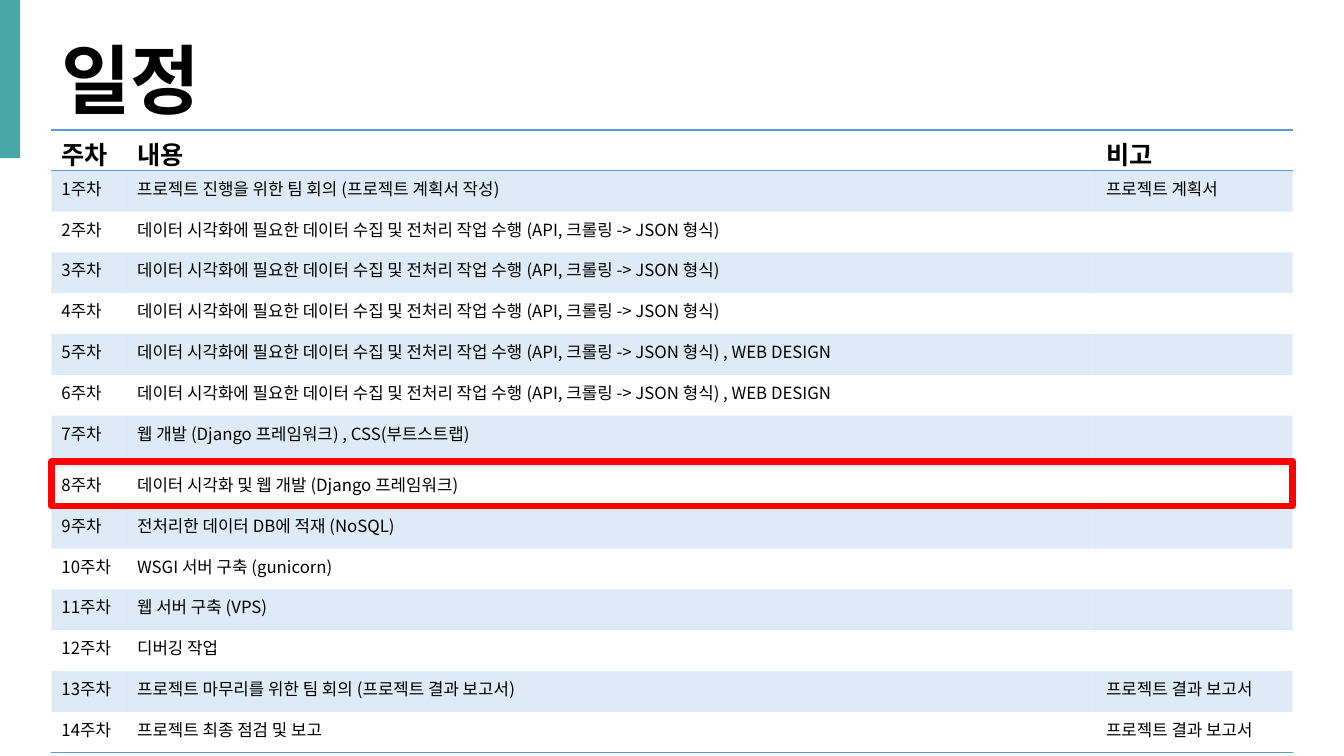
from lxml.etree import SubElement
from pptx import Presentation
from pptx.dml.color import RGBColor
from pptx.enum.shapes import MSO_SHAPE
from pptx.oxml.ns import qn
from pptx.util import Inches, Pt

FONT = "Noto Sans CJK KR"
BLACK = RGBColor(0x00, 0x00, 0x00)
TEAL = RGBColor(0x49, 0xA6, 0xA6)
BLUE = RGBColor(0x5B, 0x9B, 0xD5)
RED = RGBColor(0xFF, 0x00, 0x00)
NO_GRID_STYLE = "{2D5ABB26-0587-4C30-8999-92F81FD0307C}"

TABLE_LEFT, TABLE_TOP = 0.51, 1.29
COLUMN_WIDTHS = [0.75, 9.61, 1.95]
ROW_HEIGHT = 5.67 / 14
TALL_WEEK, TALL_HEIGHT = 7, 0.51

HEADERS = ["주차", "내용", "비고"]
COLLECT = "데이터 시각화에 필요한 데이터 수집 및 전처리 작업 수행 (API, 크롤링 -> JSON 형식)"
WEEKS = [
    ("프로젝트 진행을 위한 팀 회의 (프로젝트 계획서 작성)", "프로젝트 계획서"),
    (COLLECT, ""),
    (COLLECT, ""),
    (COLLECT, ""),
    (COLLECT + " , WEB DESIGN", ""),
    (COLLECT + " , WEB DESIGN", ""),
    ("웹 개발 (Django 프레임워크) , CSS(부트스트랩)", ""),
    ("데이터 시각화 및 웹 개발 (Django 프레임워크)", ""),
    ("전처리한 데이터 DB에 적재 (NoSQL)", ""),
    ("WSGI 서버 구축 (gunicorn)", ""),
    ("웹 서버 구축 (VPS)", ""),
    ("디버깅 작업", ""),
    ("프로젝트 마무리를 위한 팀 회의 (프로젝트 결과 보고서)", "프로젝트 결과 보고서"),
    ("프로젝트 최종 점검 및 보고", "프로젝트 결과 보고서"),
]


def write_text(text_frame, text, size=12, bold=False, color=BLACK):
    run = text_frame.paragraphs[0].add_run()
    run.text = text
    run.font.name = FONT
    run.font.size = Pt(size)
    run.font.bold = bold
    run.font.color.rgb = color
    SubElement(run.font._element, qn("a:ea"), typeface=FONT)


def add_rectangle(slide, left, top, width, height, fill=None, line=None, line_width=1):
    shape = slide.shapes.add_shape(
        MSO_SHAPE.RECTANGLE, Inches(left), Inches(top), Inches(width), Inches(height))
    shape.shadow.inherit = False
    if fill is None:
        shape.fill.background()
    else:
        shape.fill.solid()
        shape.fill.fore_color.rgb = fill
    if line is None:
        shape.line.fill.background()
    else:
        shape.line.color.rgb = line
        shape.line.width = Pt(line_width)


def add_title(slide, text):
    box = slide.shapes.add_textbox(Inches(0.51), Inches(0.28), Inches(1.72), Inches(1.01))
    box.text_frame.word_wrap = False
    write_text(box.text_frame, text, size=54, bold=True)


def add_border(cell, side):
    """Draw a blue line on one side of the cell: "T" or "B"."""
    line = SubElement(cell._tc.get_or_add_tcPr(), qn("a:ln" + side), w=str(Pt(1)))
    fill = SubElement(line, qn("a:solidFill"))
    SubElement(fill, qn("a:srgbClr"), val=str(BLUE))


def fill_band(cell):
    """Fill the cell with blue at 20 % opacity."""
    cell.fill.solid()
    cell.fill.fore_color.rgb = BLUE
    color = cell._tc.tcPr.find(qn("a:solidFill")).find(qn("a:srgbClr"))
    SubElement(color, qn("a:alpha"), val="20000")


def add_schedule(slide):
    rows = [HEADERS] + [(f"{week}주차", *entry) for week, entry in enumerate(WEEKS, 1)]
    heights = [TALL_HEIGHT if row == TALL_WEEK else ROW_HEIGHT for row in range(len(rows))]
    table = slide.shapes.add_table(
        len(rows), len(HEADERS), Inches(TABLE_LEFT), Inches(TABLE_TOP),
        Inches(sum(COLUMN_WIDTHS)), Inches(sum(heights))).table
    table._tbl.tblPr.find(qn("a:tableStyleId")).text = NO_GRID_STYLE
    for column, width in zip(table.columns, COLUMN_WIDTHS):
        column.width = Inches(width)
    for index, (values, height) in enumerate(zip(rows, heights)):
        table.rows[index].height = Inches(height)
        is_header = index == 0
        for column, value in enumerate(values):
            cell = table.cell(index, column)
            cell.margin_bottom = 0
            if value:
                write_text(cell.text_frame, value, size=18 if is_header else 12, bold=is_header)
            if is_header:
                add_border(cell, "T")
            if is_header or index == len(WEEKS):
                add_border(cell, "B")
            if index % 2:
                fill_band(cell)
            else:
                cell.fill.background()


def main():
    presentation = Presentation()
    presentation.slide_width = Inches(13.33)
    presentation.slide_height = Inches(7.5)
    slide = presentation.slides.add_slide(presentation.slide_layouts[6])
    add_rectangle(slide, 0, 0, 0.2, 1.57, fill=TEAL)
    add_title(slide, "일정")
    add_schedule(slide)
    add_rectangle(slide, TABLE_LEFT, 4.58, sum(COLUMN_WIDTHS), 0.44, line=RED, line_width=4.5)
    presentation.save("out.pptx")


if __name__ == "__main__":
    main()
